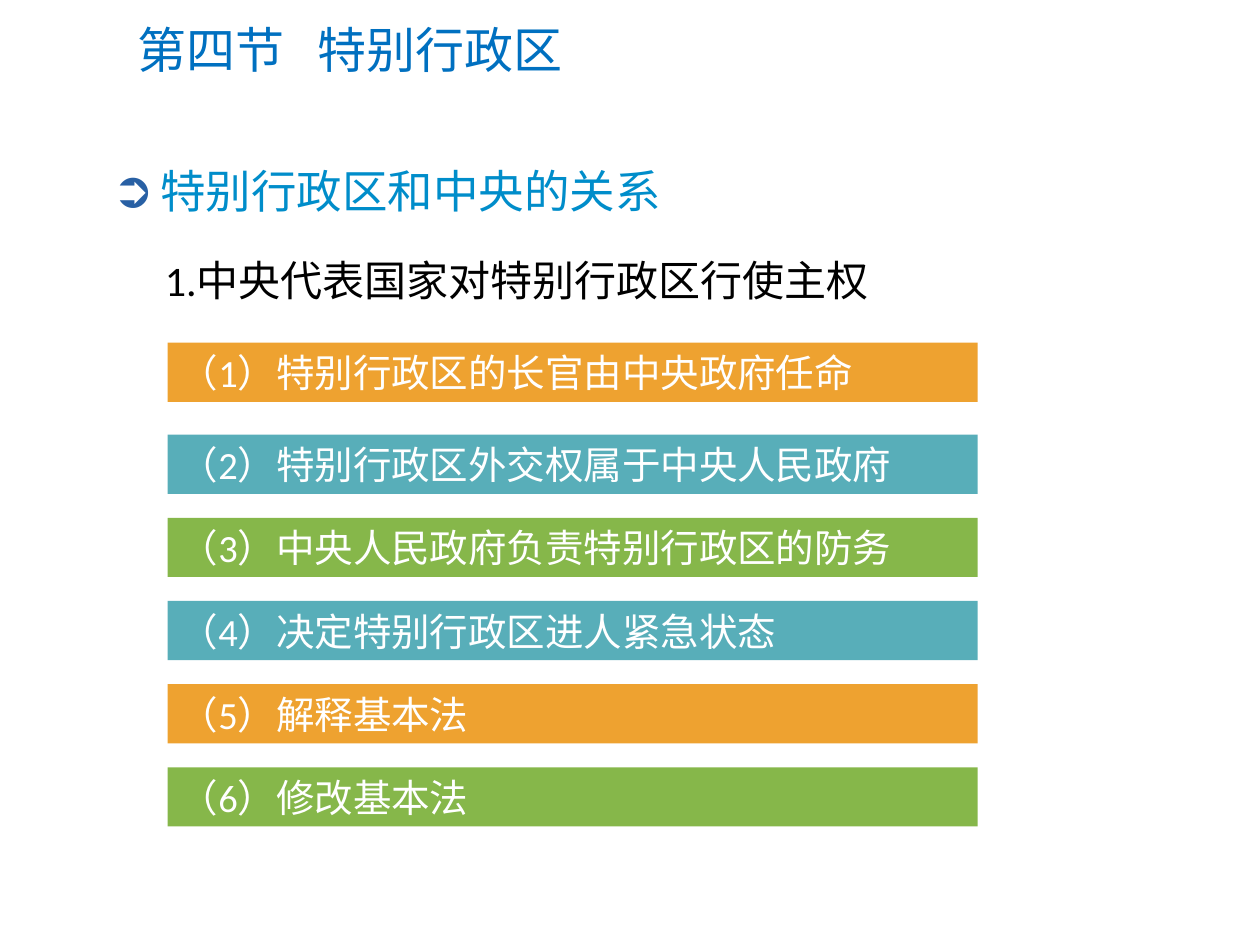
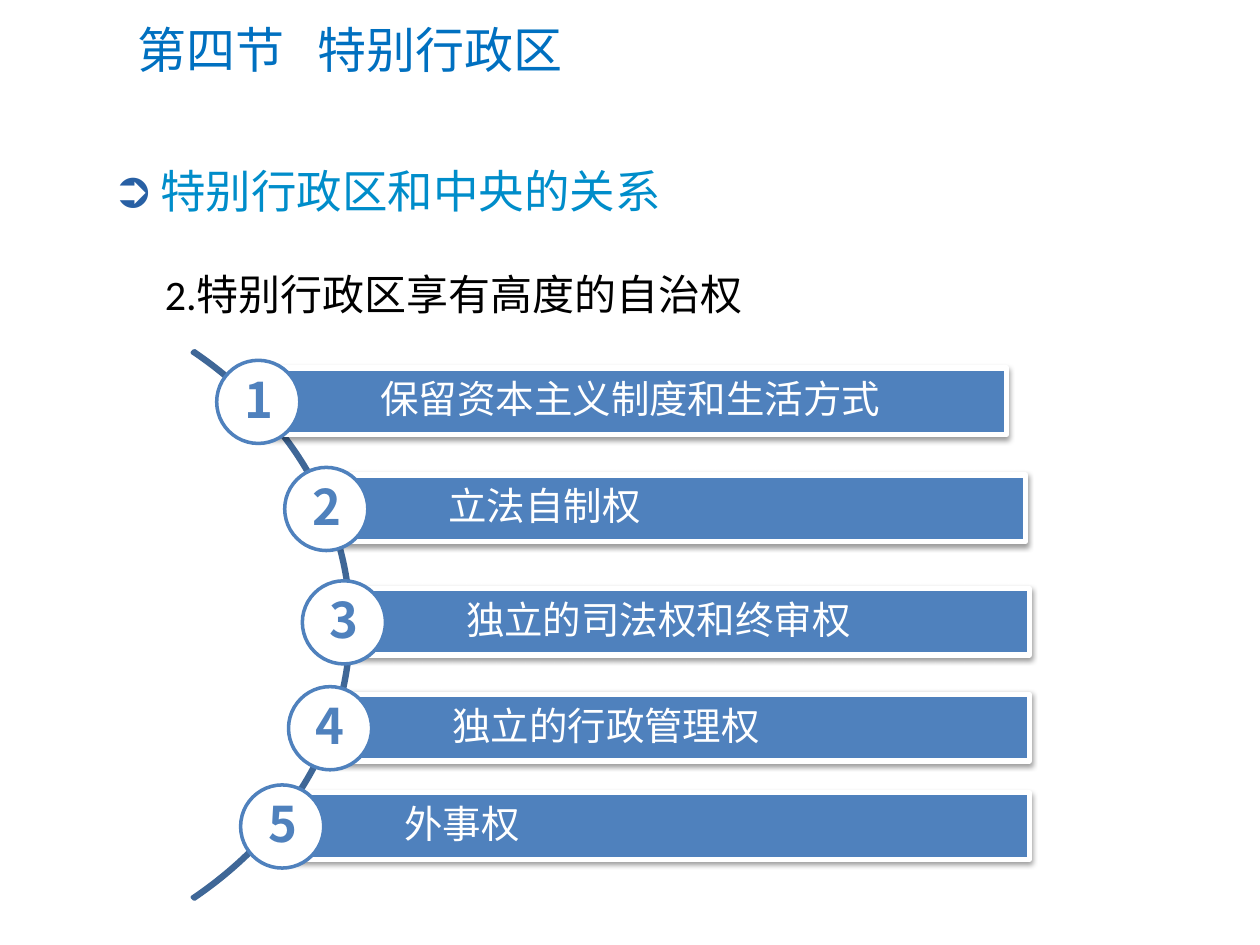
from lxml import etree
from pptx import Presentation
from pptx.dml.color import RGBColor
from pptx.enum.shapes import MSO_SHAPE as SHAPE
from pptx.enum.text import MSO_ANCHOR as ANCHOR, PP_ALIGN as ALIGN
from pptx.oxml import parse_xml
from pptx.oxml.ns import nsdecls, qn
from pptx.util import Inches, Pt

# Shared look
FONT, NUMBER_FONT = "Calibri", "Noto Sans CJK SC"
TITLE_BLUE = RGBColor(0x00, 0x70, 0xC0)
HEADING_BLUE = RGBColor(0x00, 0x8D, 0xCA)
BLACK = RGBColor(0x00, 0x00, 0x00)
WHITE = RGBColor(0xFF, 0xFF, 0xFF)
ORANGE = RGBColor(0xEE, 0xA2, 0x30)
TEAL = RGBColor(0x58, 0xAE, 0xB9)
GREEN = RGBColor(0x86, 0xB7, 0x4A)
BAR_BLUE = RGBColor(0x4F, 0x81, 0xBD)
ARC_BLUE = RGBColor(0x3F, 0x67, 0x97)
BULLET_BLUE = RGBColor(0x28, 0x60, 0xA4)

# Shared wording
SECTION = "第四节\t特别行政区"
HEADING = "特别行政区和中央的关系"

# Central powers: text and bar colour
POWERS = [
    ("特别行政区的长官由中央政府任命", ORANGE),
    ("特别行政区外交权属于中央人民政府", TEAL),
    ("中央人民政府负责特别行政区的防务", GREEN),
    ("决定特别行政区进人紧急状态", TEAL),
    ("解释基本法", ORANGE),
    ("修改基本法", GREEN),
]
# Autonomy: text, bar left, bar top, bar right
RIGHTS = [
    ("保留资本主义制度和生活方式", 2.05, 2.92, 7.99),
    ("立法自制权", 2.59, 3.77, 8.14),
    ("独立的司法权和终审权", 2.73, 4.67, 8.17),
    ("独立的行政管理权", 2.62, 5.51, 8.17),
    ("外事权", 2.24, 6.29, 8.17),
]


def place(shape, left, top, width, height):
    shape.left, shape.top = Inches(left), Inches(top)
    shape.width, shape.height = Inches(width), Inches(height)


def write(shape, text, size, color, inset=0.1, align=ALIGN.LEFT, font=FONT, bold=False):
    """Fill a shape with one vertically centred paragraph."""
    frame = shape.text_frame
    frame.text = text
    frame.word_wrap = True
    frame.vertical_anchor = ANCHOR.MIDDLE
    frame.margin_left = Inches(inset)
    frame.margin_top = frame.margin_bottom = 0
    paragraph = frame.paragraphs[0]
    paragraph.alignment = align
    paragraph.space_before = Pt(0)
    for run in paragraph.runs:
        run.font.name, run.font.size, run.font.bold = font, Pt(size), bold
        run.font.color.rgb = color
    return paragraph


def add_figure(shapes, kind, box, fill=None, line=None, width=0):
    figure = shapes.add_shape(kind, *map(Inches, box))
    figure.shadow.inherit = False
    if fill is None:
        figure.fill.background()
    else:
        figure.fill.solid()
        figure.fill.fore_color.rgb = fill
    if line is None:
        figure.line.fill.background()
    else:
        figure.line.color.rgb = line
        figure.line.width = Pt(width)
    return figure


def add_section_slide(prs, point, point_top):
    """Slide with the section title, bulleted heading and numbered point."""
    slide = prs.slides.add_slide(prs.slide_layouts[1])
    title, heading = slide.placeholders
    place(title, 0.99, 0.1, 8.72, 0.58)
    title.text_frame.text = SECTION
    tabs = etree.SubElement(title.text_frame.paragraphs[0]._p.get_or_add_pPr(), qn("a:tabLst"))
    etree.SubElement(tabs, qn("a:tab"), pos=str(Inches(1.43)), algn="l")
    # python-pptx keeps a tab as real text in the run
    props = write(title, SECTION, 28, TITLE_BLUE)._p.get_or_add_pPr()
    if props.find(qn("a:tabLst")) is None:
        props.append(tabs)

    place(heading, 0.79, 1.24, 8.34, 0.54)
    add_bullet(write(heading, HEADING, 26, HEADING_BLUE))

    numbered = slide.shapes.add_textbox(*map(Inches, (1.21, point_top, 6.39, 0.5)))
    write(numbered, point, 24, BLACK)
    return slide


def add_bullet(paragraph):
    props = paragraph._p.get_or_add_pPr()
    props.set("marL", str(Inches(0.38)))
    props.set("indent", str(-Inches(0.38)))
    color = etree.SubElement(props, qn("a:buClr"))
    etree.SubElement(color, qn("a:srgbClr"), val=str(BULLET_BLUE))
    etree.SubElement(props, qn("a:buSzPct"), val="110000")
    etree.SubElement(props, qn("a:buChar"), char="➲")


def add_soft_shadow(shape):
    props = shape._element.spPr
    props.remove(props.find(qn("a:effectLst")))
    props.append(parse_xml(
        f'<a:effectLst {nsdecls("a")}><a:outerShdw blurRad="{Pt(3.1)}" dist="{Pt(1.6)}" '
        'dir="5400000" rotWithShape="0"><a:srgbClr val="000000"><a:alpha val="38000"/>'
        '</a:srgbClr></a:outerShdw></a:effectLst>'))


def add_power_bar(slide, number, text, color):
    top = 2.72 if number == 1 else 3.45 + 0.66 * (number - 2)
    bar = add_figure(slide.shapes, SHAPE.RECTANGLE, (1.33, top, 6.43, 0.47), color)
    write(bar, f"（{number}）{text}", 22, WHITE)


def add_right_bar(slide, text, left, top, right):
    box = (left, top, right - left, 0.53)
    bar = add_figure(slide.shapes, SHAPE.RECTANGLE, box, BAR_BLUE, WHITE, 3)
    add_soft_shadow(bar)
    write(bar, text, 22, WHITE, inset=0.97).line_spacing = 0.9


def add_badge(slide, number, left, top):
    badge = slide.shapes.add_group_shape().shapes
    add_figure(badge, SHAPE.OVAL, (left, top, 0.66, 0.66), WHITE, BAR_BLUE, 2)
    label = badge.add_textbox(*map(Inches, (left + 0.12, top + 0.02, 0.4, 0.57)))
    write(label, str(number), 28, BAR_BLUE, align=ALIGN.CENTER, font=NUMBER_FONT, bold=True)


def add_arc(slide):
    arc = add_figure(slide.shapes, SHAPE.BLOCK_ARC, (-4.06, 2.14, 6.85, 5.64),
                     line=ARC_BLUE, width=2)
    for index, value in enumerate((189, 27, 0.004)):
        arc.adjustments[index] = value


def main():
    prs = Presentation()
    prs.slide_width, prs.slide_height = Inches(10), Inches(7.5)

    # Sovereignty exercised by the centre
    sovereignty = add_section_slide(prs, "1.中央代表国家对特别行政区行使主权", 1.97)
    for number, (text, color) in enumerate(POWERS, 1):
        add_power_bar(sovereignty, number, text, color)

    # High degree of autonomy: arc, bars, then numbered badges on top
    autonomy = add_section_slide(prs, "2.特别行政区享有高度的自治权", 2.08)
    add_arc(autonomy)
    for right in RIGHTS:
        add_right_bar(autonomy, *right)
    for number, (_, left, top, _) in enumerate(RIGHTS, 1):
        add_badge(autonomy, number, left - 0.33, top - 0.06)

    prs.save("out.pptx")


if __name__ == "__main__":
    main()
